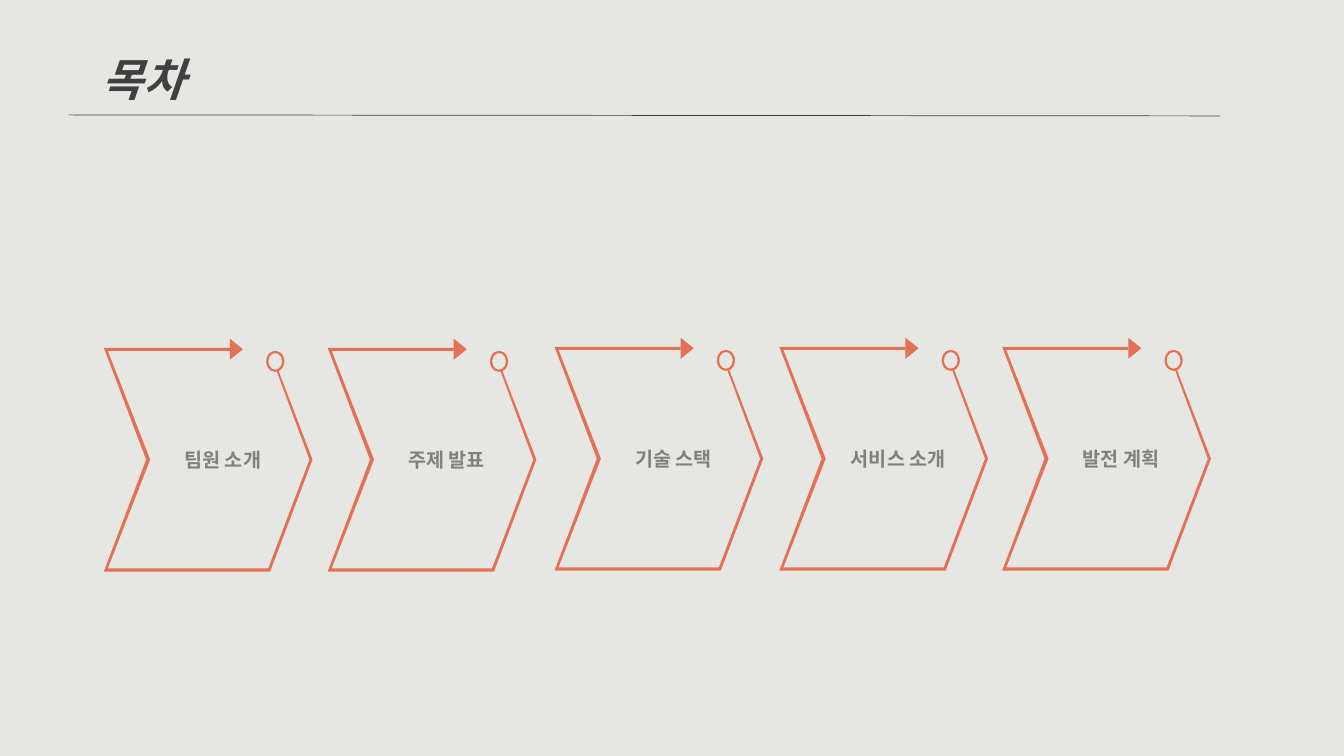
from lxml import etree
from pptx import Presentation
from pptx import util as u
from pptx.dml.color import RGBColor
from pptx.enum import shapes, text
from pptx.oxml import ns

PX = 9144  # 100 px to the inch
FONT = "Noto Sans CJK KR"
PAPER = RGBColor(0xE6, 0xE7, 0xE2)
INK = RGBColor(0x40, 0x40, 0x40)
GREY = RGBColor(0x80, 0x80, 0x80)
CORAL = RGBColor(0xE3, 0x71, 0x56)

RIBBON = [(0, 0), (125, 0), (125, 3), (4, 3), (46, 111), (4, 219), (163, 219),
          (204, 111), (171, 22), (173, 22), (207, 111), (165, 222), (0, 222),
          (42, 111)]
CHAPTERS = [("팀원 소개", 103, 345), ("주제 발표", 325, 345), ("기술 스택", 550, 344),
            ("서비스 소개", 773, 344), ("발전 계획", 994, 344)]


def px(*lengths):
    return [u.Emu(length * PX) for length in lengths]


def write(frame, content, size, color, italic=False, align=text.PP_ALIGN.LEFT):
    frame.word_wrap = True
    frame.auto_size = text.MSO_AUTO_SIZE.SHAPE_TO_FIT_TEXT
    frame.vertical_anchor = text.MSO_ANCHOR.TOP
    paragraph = frame.paragraphs[0]
    paragraph.alignment = align
    paragraph.line_spacing = 1.5
    paragraph.space_before = u.Pt(0)
    run = paragraph.add_run()
    run.text = content
    font = run.font
    font.name, font.size = FONT, u.Pt(size)
    font.bold, font.italic = True, italic
    font.color.rgb = color
    etree.SubElement(font._element, ns.qn("a:ea"), typeface=FONT)


def paint(shape):
    shape.shadow.inherit = False
    shape.fill.solid()
    shape.fill.fore_color.rgb = CORAL
    shape.line.fill.background()


def add_heading(slide, content, left, top, width, height):
    title = slide.shapes.title
    title.left, title.top, title.width, title.height = px(left, top, width, height)
    write(title.text_frame, content, 32, INK, italic=True)
    rule = slide.shapes.add_connector(
        shapes.MSO_CONNECTOR.STRAIGHT,
        *px(left - 23, top + 94, left + 1119, top + 95))
    rule.line.color.rgb = INK
    rule.line.width = u.Pt(0.5)
    etree.SubElement(rule._element.spPr, ns.qn("a:effectLst"))


def add_chapter(slide, label, left, top):
    """Place one chevron ribbon with its arrowhead, ring and label."""
    parts = slide.shapes.add_group_shape().shapes
    outline = [(left + x, top + y) for x, y in RIBBON]
    builder = parts.build_freeform(*outline[0], scale=PX)
    builder.add_line_segments(outline[1:], close=True)
    paint(builder.convert_to_shape())

    arrowhead = parts.add_shape(shapes.MSO_SHAPE.ISOSCELES_TRIANGLE,
                                *px(left + 121, top - 5, 21, 13))
    arrowhead.rotation = 90
    paint(arrowhead)

    ring = parts.add_shape(shapes.MSO_SHAPE.DONUT,
                           *px(left + 161, top + 3, 18, 21))
    ring.adjustments[0] = 0.12
    paint(ring)

    caption = slide.shapes.add_textbox(*px(left + 19, top + 83, 198, 41))
    write(caption.text_frame, label, 14, GREY, align=text.PP_ALIGN.CENTER)


def main():
    deck = Presentation()
    deck.slide_width, deck.slide_height = px(1333, 750)
    slide = deck.slides.add_slide(deck.slide_layouts[5])
    slide.background.fill.solid()
    slide.background.fill.fore_color.rgb = PAPER
    add_heading(slide, "목차", 91, 20, 535, 80)
    for label, left, top in CHAPTERS:
        add_chapter(slide, label, left, top)
    deck.save("out.pptx")


if __name__ == "__main__":
    main()
